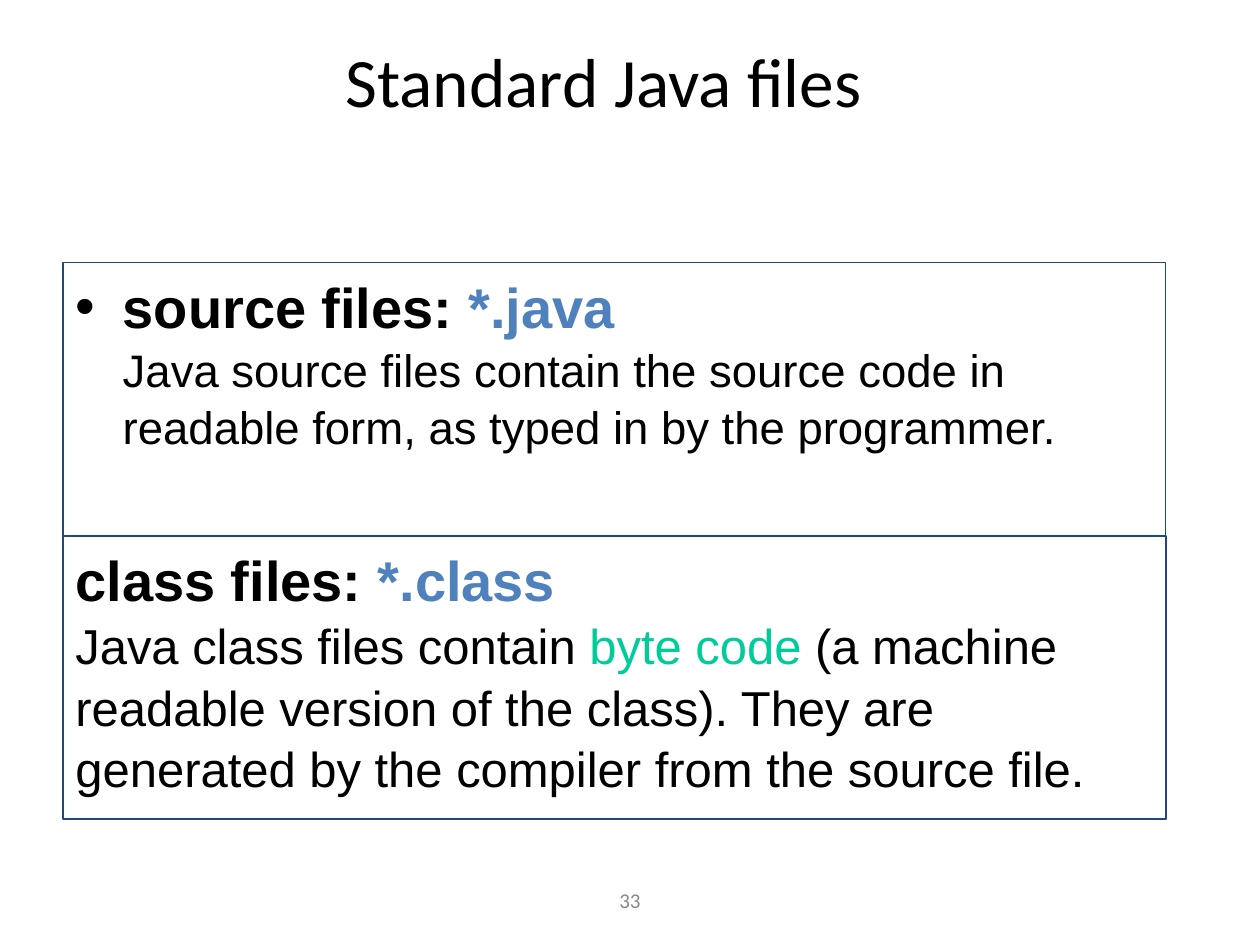
"""Build a slide that describes the standard Java files."""
import pptx
import pptx.dml.color
import pptx.enum.shapes
import pptx.enum.text
import pptx.oxml
import pptx.oxml.ns
import pptx.util
from pptx.util import Cm

BLACK = pptx.dml.color.RGBColor(0x00, 0x00, 0x00)
GRAY = pptx.dml.color.RGBColor(0x88, 0x88, 0x88)
NAVY = pptx.dml.color.RGBColor(0x1F, 0x49, 0x7D)
BLUE = pptx.dml.color.RGBColor(0x4F, 0x81, 0xBD)
GREEN = pptx.dml.color.RGBColor(0x00, 0xCC, 0x99)
LEFT, CENTER = pptx.enum.text.PP_ALIGN.LEFT, pptx.enum.text.PP_ALIGN.CENTER
TOP, MIDDLE = pptx.enum.text.MSO_ANCHOR.TOP, pptx.enum.text.MSO_ANCHOR.MIDDLE


class SlideBuilder:
    heading_font = "Calibri"
    body_font = "Arial"
    line_spacing = 1.05
    bullet_indent = Cm(0.95)

    def __init__(self, presentation):
        self.slide = presentation.slides.add_slide(presentation.slide_layouts[1])

    def place(self, shape, box):
        shape.left, shape.top, shape.width, shape.height = (Cm(length) for length in box)

    def add_lines(self, shape, lines, font, alignment=LEFT, anchor=TOP):
        frame = shape.text_frame
        frame.word_wrap = True
        frame.auto_size = pptx.enum.text.MSO_AUTO_SIZE.NONE
        frame.vertical_anchor = anchor
        paragraph = frame.paragraphs[0]
        paragraph.alignment = alignment
        for index, line in enumerate(lines):
            if index:
                paragraph.add_line_break()
            for text, size, color, bold in line:
                run = paragraph.add_run()
                run.text = text
                run.font.name = font
                run.font.size = pptx.util.Pt(size)
                run.font.bold = bold
                run.font.color.rgb = color
        return paragraph

    def title(self, text, box):
        shape = self.slide.shapes.title
        self.place(shape, box)
        self.add_lines(shape, [[(text, 39.6, BLACK, False)]], self.heading_font, CENTER, MIDDLE)

    def page_number(self, text, box):
        shape = self.slide.shapes.add_textbox(*(Cm(length) for length in box))
        self.add_lines(shape, [[(text, 12, GRAY, False)]], self.heading_font, CENTER, MIDDLE)

    def framed_text(self, shape, lines, line_width):
        shape.line.color.rgb = NAVY
        shape.line.width = pptx.util.Pt(line_width)
        paragraph = self.add_lines(shape, lines, self.body_font)
        paragraph.line_spacing = self.line_spacing
        paragraph.space_before = pptx.util.Pt(0)
        return paragraph

    def bullet_body(self, lines, box):
        shape = self.slide.placeholders[1]
        self.place(shape, box)
        paragraph = self.framed_text(shape, lines, 0.75)
        properties = paragraph._p.get_or_add_pPr()
        properties.set("marL", str(self.bullet_indent))
        properties.set("indent", str(-self.bullet_indent))
        namespace = pptx.oxml.ns.nsdecls("a")
        for markup in (
            f'<a:buClr {namespace}><a:srgbClr val="{BLACK}"/></a:buClr>',
            f'<a:buFont {namespace} typeface="{self.body_font}"/>',
            f'<a:buChar {namespace} char="•"/>',
        ):
            properties.append(pptx.oxml.parse_xml(markup))

    def text_panel(self, lines, box):
        shape = self.slide.shapes.add_shape(
            pptx.enum.shapes.MSO_SHAPE.RECTANGLE, *(Cm(length) for length in box)
        )
        shape.shadow.inherit = False
        shape.fill.background()
        self.framed_text(shape, lines, 1)


def heading(label, pattern):
    return [(label, 32, BLACK, True), (pattern, 32, BLUE, True)]


def main():
    presentation = pptx.Presentation()
    presentation.slide_width = Cm(25.4)
    presentation.slide_height = Cm(19.05)
    builder = SlideBuilder(presentation)
    builder.page_number("33", (8.68, 17.65, 8.04, 1.01))
    builder.title("Standard Java files", (0, 0.64, 24.34, 1.95))
    builder.bullet_body(
        [
            heading("source files: ", "*.java"),
            [("Java source files contain the source code in readable form, "
              "as typed in by the programmer.", 26, BLACK, False)],
        ],
        (1.27, 5.29, 22.23, 5.51),
    )
    builder.text_panel(
        [
            heading("class files: ", "*.class"),
            [
                ("Java class files contain ", 28, BLACK, False),
                ("byte code", 28, GREEN, False),
                (" (a machine readable version of the class). They are "
                 "generated by the compiler from the source file.", 28, BLACK, False),
            ],
        ],
        (1.27, 10.8, 22.23, 5.71),
    )
    presentation.save("out.pptx")


if __name__ == "__main__":
    main()
